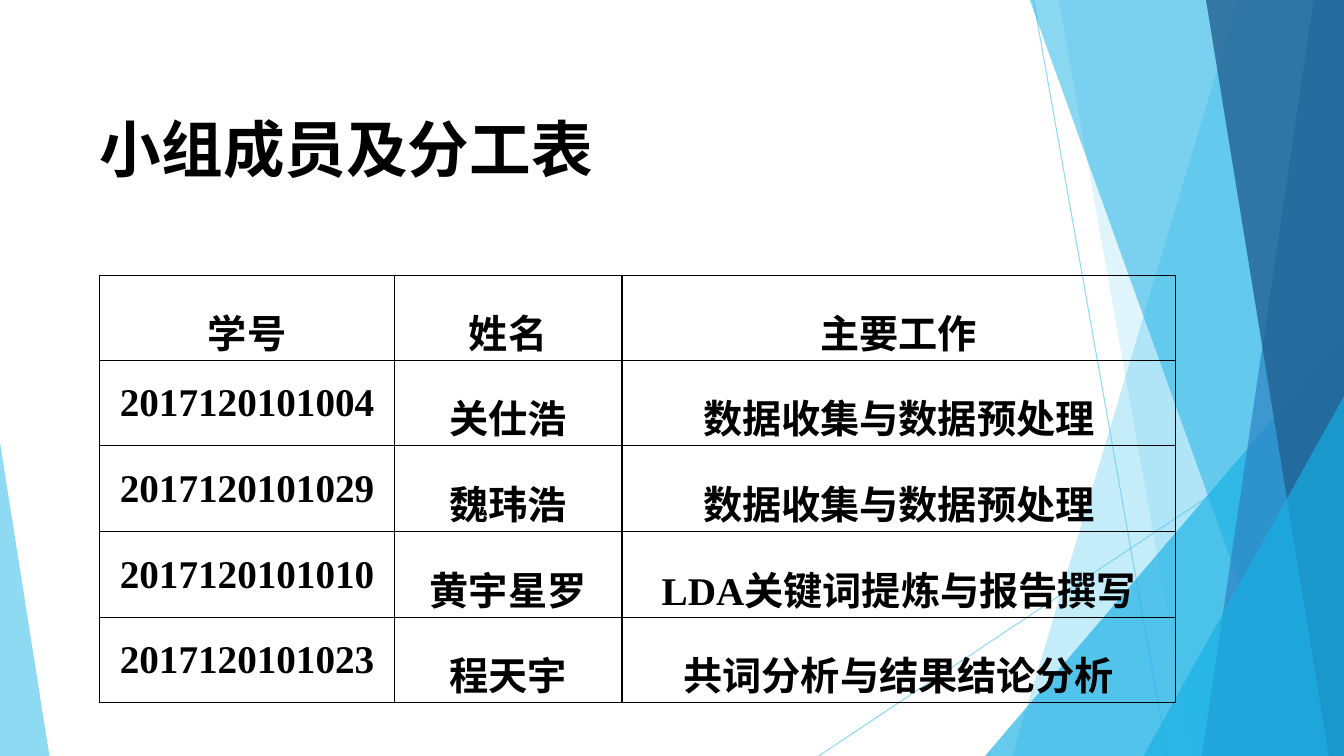
import pptx
import pptx.util
import pptx.dml.color
import pptx.enum.shapes
import pptx.enum.text
import pptx.oxml
import pptx.oxml.ns
import lxml.etree

Inches = pptx.util.Inches
Pt = pptx.util.Pt
qn = pptx.oxml.ns.qn


def paint(fill, color, alpha=100):
    """Set a solid fill; alpha is the opacity in percent."""
    fill.solid()
    fill.fore_color.rgb = pptx.dml.color.RGBColor.from_string(color)
    if alpha < 100:
        node = fill._xPr.find(".//" + qn("a:srgbClr"))
        lxml.etree.SubElement(node, qn("a:alpha")).set("val", str(alpha * 1000))


def write(para, text, font, size, spacing):
    para.line_spacing = spacing
    run = para.add_run()
    run.text = text
    run.font.name = font
    run.font.size = Pt(size)
    run.font.bold = True
    paint(run.font.fill, "000000")


deck = pptx.Presentation()
deck.slide_width = Inches(13.33)
deck.slide_height = Inches(7.5)
slide = deck.slides.add_slide(deck.slide_layouts[5])
shapes = slide.shapes

# Thin rays behind the bands
for x1, y1, x2, y2 in [(10.25, 0, 11.58, 7.5), (13.33, 4.03, 8.12, 7.5)]:
    ray = shapes.add_connector(pptx.enum.shapes.MSO_CONNECTOR.STRAIGHT,
                               Inches(x1), Inches(y1), Inches(x2), Inches(y2))
    ray.line.width = Pt(0.75)
    paint(ray.line.fill, "5FCBEF", 70)
    lxml.etree.SubElement(ray._element.spPr, qn("a:effectLst"))

# Bands run to the right edge: top x, foot x, colour, opacity
# Wedges stand on the foot: left, top, width, tip (0 to 1), colour, opacity
top, right, foot = -0.01, 13.33, 7.5
decor = [
    ("band", 12.28, 10.04, "5FCBEF", 36),
    ("band", 10.5, 11.83, "5FCBEF", 20),
    ("wedge", 9.77, 3.33, 3.56, 1, "17B0E4", 66),
    ("band", 10.21, 12.91, "17B0E4", 50),
    ("band", 13.03, 11.92, "2E83C3", 70),
    ("band", 11.96, 13.18, "226292", 80),
    ("wedge", 11.34, 3.93, 1.99, 1, "17B0E4", 66),
    ("wedge", 0, 4.39, 0.49, 0, "5FCBEF", 70),
]
for kind, *place, color, alpha in decor:
    if kind == "band":
        head, base = place
        pen = shapes.build_freeform(Inches(head), Inches(top))
        pen.add_line_segments([(Inches(x), Inches(y)) for x, y in
                               [(right, top), (right, foot), (base, foot)]])
        piece = pen.convert_to_shape()
    else:
        left, peak, width, tip = place
        piece = shapes.add_shape(
            pptx.enum.shapes.MSO_SHAPE.ISOSCELES_TRIANGLE,
            Inches(left), Inches(peak), Inches(width), Inches(foot - peak))
        piece.adjustments[0] = tip
    paint(piece.fill, color, alpha)
    piece.line.fill.background()
    piece.shadow.inherit = False

# Title
title = shapes.title
title.left, title.top = Inches(0.99), Inches(1.18)
title.width, title.height = Inches(6.04), Inches(0.52)
frame = title.text_frame
frame.margin_left = frame.margin_right = 0
frame.margin_top = frame.margin_bottom = 0
frame.word_wrap = True
frame.auto_size = pptx.enum.text.MSO_AUTO_SIZE.NONE
frame.vertical_anchor = pptx.enum.text.MSO_ANCHOR.TOP
frame.paragraphs[0].alignment = pptx.enum.text.PP_ALIGN.LEFT
write(frame.paragraphs[0], "小组成员及分工表", "Roboto", 44, 0.9)

# Table of members
members = [
    ("学号", "姓名", "主要工作"),
    ("2017120101004", "关仕浩", "数据收集与数据预处理"),
    ("2017120101029", "魏玮浩", "数据收集与数据预处理"),
    ("2017120101010", "黄宇星罗", "LDA关键词提炼与报告撰写"),
    ("2017120101023", "程天宇", "共词分析与结果结论分析"),
]
widths = [2.92, 2.26, 5.49]
table = shapes.add_table(len(members), len(widths), Inches(0.99), Inches(2.73),
                         Inches(sum(widths)), Inches(4.24)).table
table.first_row = table.horz_banding = False
for col, width in zip(table.columns, widths):
    col.width = Inches(width)
for r, member in enumerate(members):
    table.rows[r].height = Inches(0.85 if r else 0.84)
    for c, text in enumerate(member):
        cell = table.cell(r, c)
        cell.margin_left = cell.margin_right = Inches(0.07)
        cell.margin_top = cell.margin_bottom = 0
        para = cell.text_frame.paragraphs[0]
        para.alignment = pptx.enum.text.PP_ALIGN.CENTER
        write(para, text, "Times New Roman", 28, 1.5)
        props = cell._tc.get_or_add_tcPr()
        for side in "LRTB":
            edge = lxml.etree.SubElement(props, qn("a:ln" + side), w=str(Pt(1)))
            solid = lxml.etree.SubElement(edge, qn("a:solidFill"))
            lxml.etree.SubElement(solid, qn("a:srgbClr"), val="000000")
        cell.fill.background()

deck.save("out.pptx")
